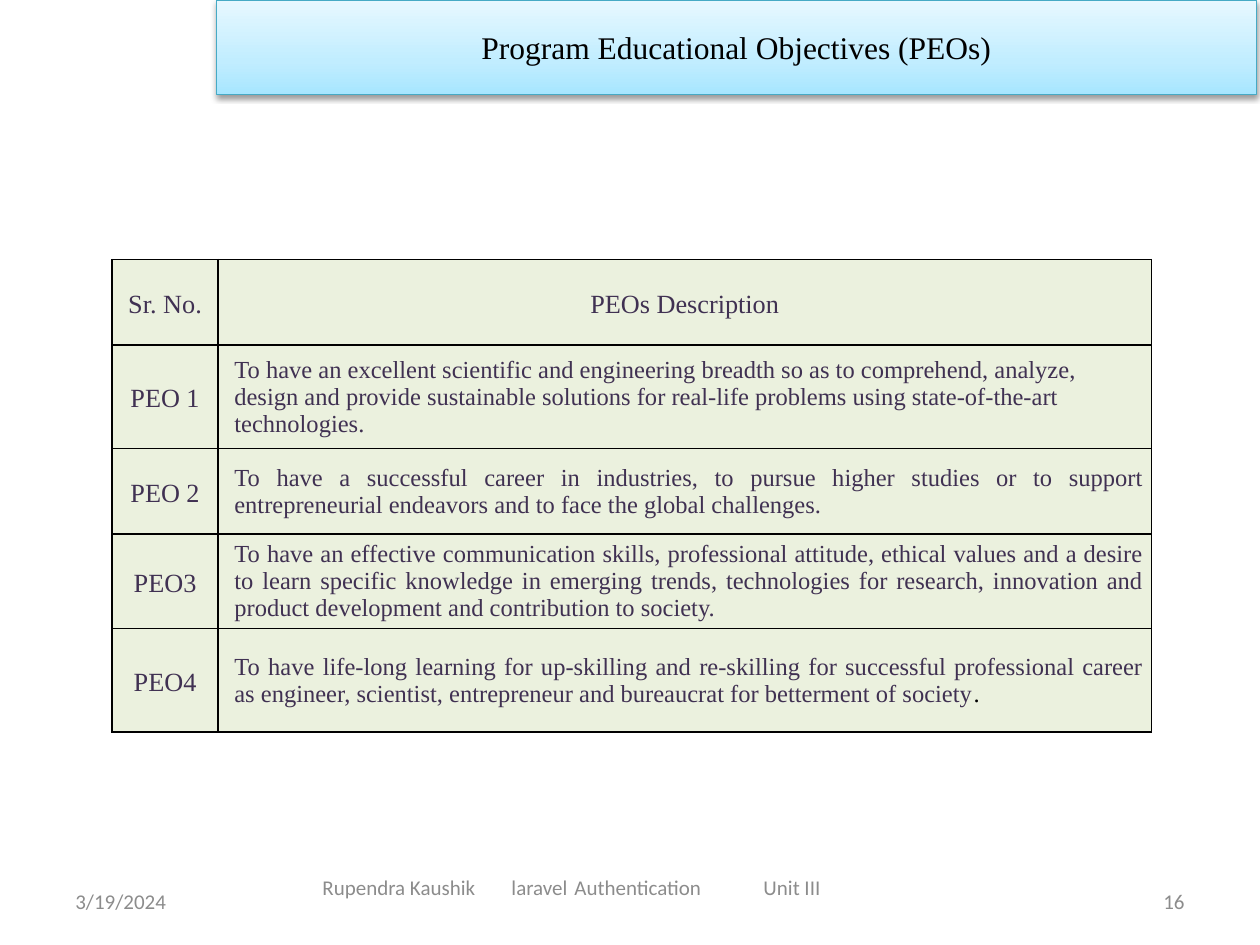
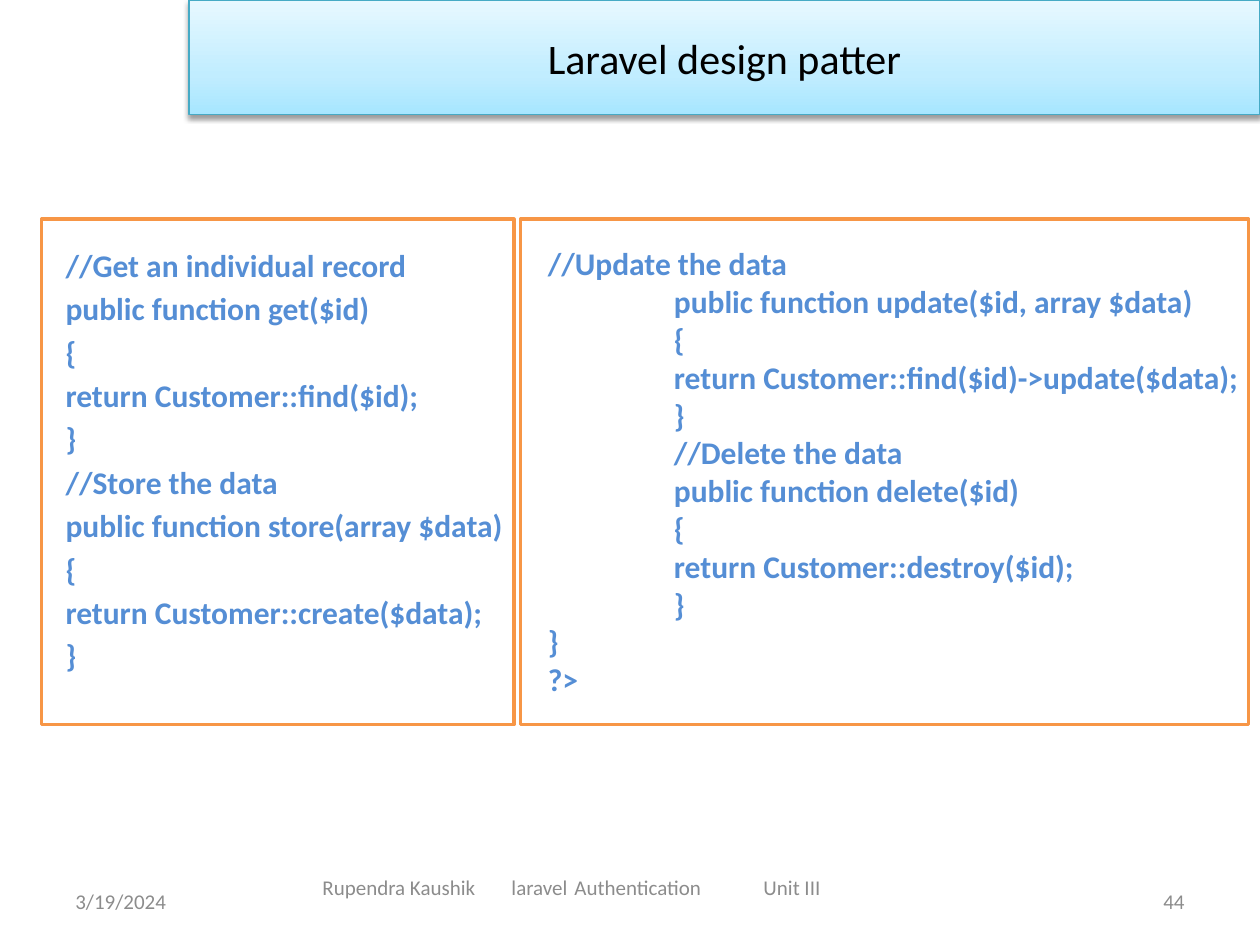
from lxml import etree
from pptx import Presentation
from pptx.dml.color import RGBColor
from pptx.enum.shapes import MSO_SHAPE
from pptx.enum.text import MSO_ANCHOR, MSO_AUTO_SIZE, PP_ALIGN
from pptx.oxml import parse_xml
from pptx.oxml.ns import nsdecls, qn
from pptx.util import Inches, Pt

RECT = MSO_SHAPE.RECTANGLE
TOP, MIDDLE = MSO_ANCHOR.TOP, MSO_ANCHOR.MIDDLE
NO_FIT = MSO_AUTO_SIZE.NONE
LEFT, CENTER, RIGHT, JUSTIFY = (PP_ALIGN.LEFT, PP_ALIGN.CENTER,
                                PP_ALIGN.RIGHT, PP_ALIGN.JUSTIFY)

# Shared colours and fonts
BLACK = RGBColor(0x00, 0x00, 0x00)
GREY = RGBColor(0x8C, 0x8C, 0x8C)
PURPLE = RGBColor(0x40, 0x31, 0x52)
PALE_GREEN = RGBColor(0xEB, 0xF1, 0xDE)
TEAL = RGBColor(0x46, 0xAA, 0xC5)
CODE_BLUE = RGBColor(0x55, 0x8E, 0xD5)
ORANGE = RGBColor(0xF7, 0x96, 0x46)
BAND_STOPS = [(0, RGBColor(0xA7, 0xE6, 0xFF)),
              (35, RGBColor(0xC1, 0xED, 0xFF)),
              (100, RGBColor(0xE7, 0xF8, 0xFF))]
SANS, SERIF = "Calibri", "Times New Roman"

# Shared footer
DATE = "3/19/2024"
FOOTER = "Rupendra Kaushik\tlaravel\tAuthentication\tUnit III"
FOOTER_TABS = (2.6, 3.15, 4.98)

TITLE_ONLY, TITLE_AND_BODY = 5, 1

PEO_HEADER = ("Sr. No.", "PEOs Description")
PEO_ROWS = [
    ("PEO 1", "To have an excellent scientific and engineering breadth so as to "
     "comprehend, analyze, design and provide sustainable solutions for "
     "real-life problems using state-of-the-art technologies."),
    ("PEO 2", "To have a successful career in industries, to pursue higher "
     "studies or to support entrepreneurial endeavors and to face the global "
     "challenges."),
    ("PEO3", "To have an effective communication skills, professional attitude, "
     "ethical values and a desire to learn specific knowledge in emerging "
     "trends, technologies for research, innovation and product development "
     "and contribution to society."),
    ("PEO4", "To have life-long learning for up-skilling and re-skilling for "
     "successful professional career as engineer, scientist, entrepreneur and "
     "bureaucrat for betterment of society"),
]

GET_AND_STORE = [
    "//Get an individual record",
    "public function get($id)",
    "{",
    "return Customer::find($id);",
    "}",
    "//Store the data",
    "public function store(array $data)",
    "{",
    "return Customer::create($data);",
    "}",
]
UPDATE_START = ["//Update the data"]
UPDATE_AND_DELETE = [
    "public function update($id, array $data)",
    "{",
    "return Customer::find($id)->update($data);",
    "}",
    "//Delete the data",
    "public function delete($id)",
    "{",
    "return Customer::destroy($id);",
    "}",
]
FILE_END = ["}", "?>"]


def write(tf, text, size=18, font=SANS, color=BLACK, bold=False, align=LEFT,
          spacing=None, before=0, indent=0, tabs=()):
    """Add each line of text as a paragraph, filling the empty first one."""
    for line in [text] if isinstance(text, str) else text:
        first = not tf.text
        p = tf.paragraphs[0] if first else tf.add_paragraph()
        p.alignment = align
        p.space_before = Pt(0 if first else before)
        if spacing:
            p.line_spacing = spacing
        pPr = p._p.get_or_add_pPr()
        pPr.set("marL", str(Inches(indent)))
        pPr.set("indent", "0")
        etree.SubElement(pPr, qn("a:buNone"))
        if tabs:
            tab_list = etree.SubElement(pPr, qn("a:tabLst"))
            for pos in tabs:
                etree.SubElement(tab_list, qn("a:tab"),
                                 pos=str(Inches(pos)), algn="l")
        add_run(p, line, size, font, color, bold)


def add_run(p, text, size, font, color, bold=False):
    r = p.add_run()
    r.text = text
    r.font.size, r.font.name, r.font.bold = Pt(size), font, bold
    r.font.color.rgb = color


class Deck:
    def __init__(self):
        self.prs = Presentation()
        self.prs.slide_width, self.prs.slide_height = Inches(10), Inches(7.5)
        self.slide = None

    def new_slide(self, layout, number):
        self.slide = self.prs.slides.add_slide(self.prs.slide_layouts[layout])
        self.text(DATE, 0.5, 6.95, 2.33, 0.4, anchor=MIDDLE, size=12, color=GREY)
        self.text(str(number), 7.17, 6.95, 2.33, 0.4, anchor=MIDDLE, size=12,
                  color=GREY, align=RIGHT)
        self.text(FOOTER, 2.2, 6.89, 6.17, 0.3, anchor=MIDDLE, inset=0.36,
                  size=12, color=GREY, tabs=FOOTER_TABS)

    def place(self, sp, x, y, w, h):
        sp.left, sp.top, sp.width, sp.height = map(Inches, (x, y, w, h))

    def text(self, text, x, y, w, h, anchor=TOP, inset=0.1, **style):
        sp = self.slide.shapes.add_textbox(*map(Inches, (x, y, w, h)))
        tf = sp.text_frame
        tf.word_wrap = True
        tf.vertical_anchor = anchor
        tf.margin_left = Inches(inset)
        write(tf, text, **style)
        return tf

    def title_band(self, text, x, w, h, **style):
        sp = self.slide.shapes.title
        self.place(sp, x, 0, w, h)
        sp.line.color.rgb = TEAL
        sp.line.width = Pt(0.75)
        # Three-stop gradient, lightest at the top
        sp.fill.gradient()
        sp.fill.gradient_angle = 90
        spPr = sp._element.spPr
        stops = spPr.find(".//" + qn("a:gsLst"))
        for gs in list(stops):
            stops.remove(gs)
        for pos, color in BAND_STOPS:
            gs = etree.SubElement(stops, qn("a:gs"), pos=str(pos * 1000))
            etree.SubElement(gs, qn("a:srgbClr"), val=str(color))
        spPr.append(parse_xml(
            f'<a:effectLst {nsdecls("a")}><a:outerShdw blurRad="40000" '
            'dist="20000" dir="5400000" rotWithShape="0"><a:srgbClr val="000000">'
            '<a:alpha val="38000"/></a:srgbClr></a:outerShdw></a:effectLst>'))
        tf = sp.text_frame
        tf.auto_size = NO_FIT
        tf.vertical_anchor = MIDDLE
        write(tf, text, align=CENTER, **style)

    def body(self, lines, x, y, w, h, **style):
        sp = self.slide.placeholders[1]
        self.place(sp, x, y, w, h)
        sp.text_frame.auto_size = NO_FIT
        write(sp.text_frame, lines, **style)

    def frame(self, x, y, w, h):
        sp = self.slide.shapes.add_shape(RECT, *map(Inches, (x, y, w, h)))
        sp.shadow.inherit = False
        sp.fill.background()
        sp.line.color.rgb = ORANGE
        sp.line.width = Pt(2)

    def table(self, x, y, col_widths, row_heights):
        tbl = self.slide.shapes.add_table(
            len(row_heights), len(col_widths), Inches(x), Inches(y),
            Inches(sum(col_widths)), Inches(sum(row_heights))).table
        tbl.first_row = tbl.horz_banding = False
        for col, w in zip(tbl.columns, col_widths):
            col.width = Inches(w)
        for row, h in zip(tbl.rows, row_heights):
            row.height = Inches(h)
        return tbl

    def cell(self, cell, text, **style):
        cell.vertical_anchor = MIDDLE
        cell.margin_left = cell.margin_right = Inches(0.06)
        cell.margin_top = cell.margin_bottom = 0
        tcPr = cell._tc.get_or_add_tcPr()
        for side in ("lnL", "lnR", "lnT", "lnB"):
            ln = etree.SubElement(tcPr, qn(f"a:{side}"), w=str(Pt(1)))
            fill = etree.SubElement(ln, qn("a:solidFill"))
            etree.SubElement(fill, qn("a:srgbClr"), val=str(BLACK))
        cell.fill.solid()
        cell.fill.fore_color.rgb = PALE_GREEN
        write(cell.text_frame, text, font=SERIF, color=PURPLE, **style)


def objectives_slide(deck):
    deck.new_slide(TITLE_ONLY, 16)
    deck.title_band("Program Educational Objectives (PEOs)", 1.72, 8.25, 0.75,
                    font=SERIF)
    tbl = deck.table(0.89, 2.06, (0.84, 7.41), (0.68, 0.82, 0.68, 0.75, 0.82))
    label = dict(size=15, align=CENTER, spacing=1.15)
    for c, heading in enumerate(PEO_HEADER):
        deck.cell(tbl.cell(0, c), heading, **label)
    for r, (name, description) in enumerate(PEO_ROWS, 1):
        deck.cell(tbl.cell(r, 0), name, **label)
        deck.cell(tbl.cell(r, 1), description, size=14, indent=0.07,
                  align=LEFT if r == 1 else JUSTIFY)
    # The closing full stop is black
    last = tbl.cell(len(PEO_ROWS), 1).text_frame.paragraphs[0]
    add_run(last, ".", 14, SERIF, BLACK)


def design_pattern_slide(deck):
    deck.new_slide(TITLE_AND_BODY, 44)
    deck.title_band("Laravel design patter", 1.5, 8.5, 0.91, size=24)
    code = dict(color=CODE_BLUE, bold=True, align=JUSTIFY)
    # Left code block
    deck.body(GET_AND_STORE, -0.58, 1.9, 9, 4.95, indent=1, before=3.2, **code)
    # Right code block
    tf = deck.text(UPDATE_START, 4.25, 1.89, 5.75, 3.74, **code)
    write(tf, UPDATE_AND_DELETE, indent=1, **code)
    write(tf, FILE_END, **code)
    for x, w in ((0.33, 3.75), (4.13, 5.78)):
        deck.frame(x, 1.74, w, 4.01)


def main():
    deck = Deck()
    objectives_slide(deck)
    design_pattern_slide(deck)
    deck.prs.save("out.pptx")


if __name__ == "__main__":
    main()
